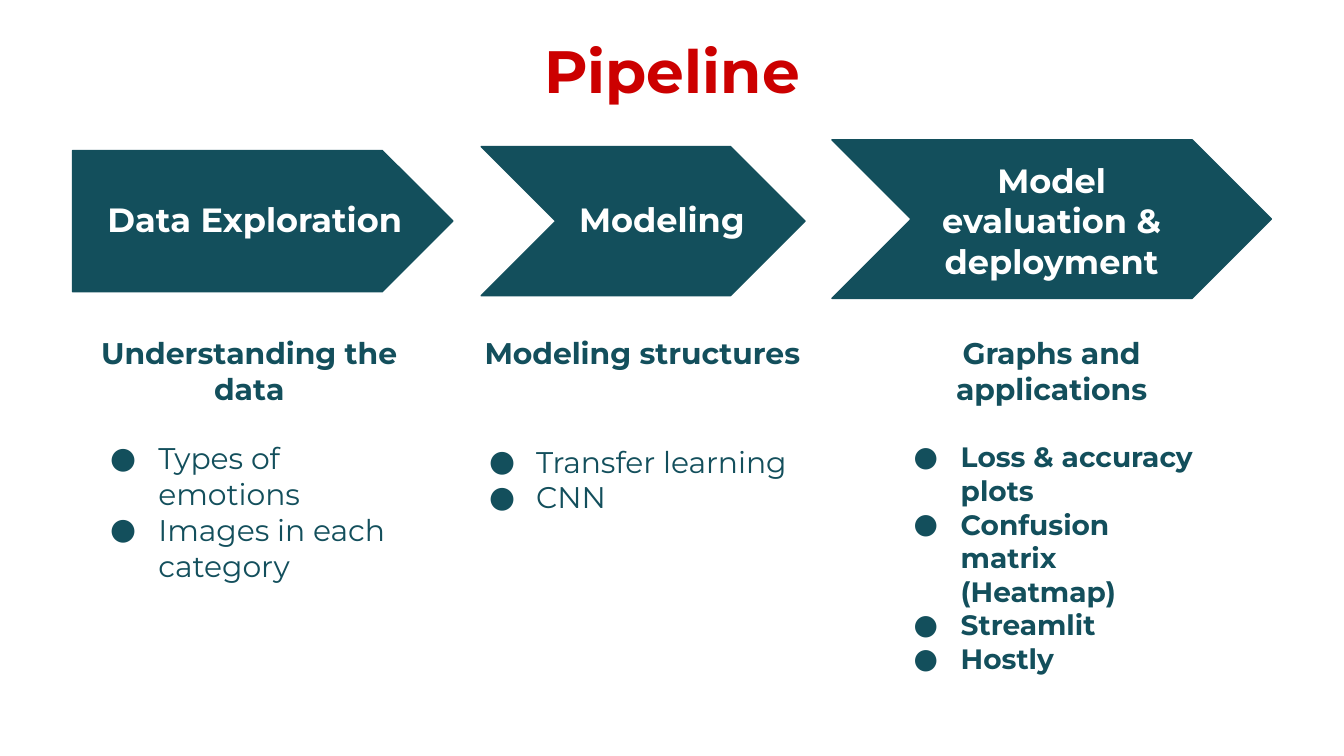
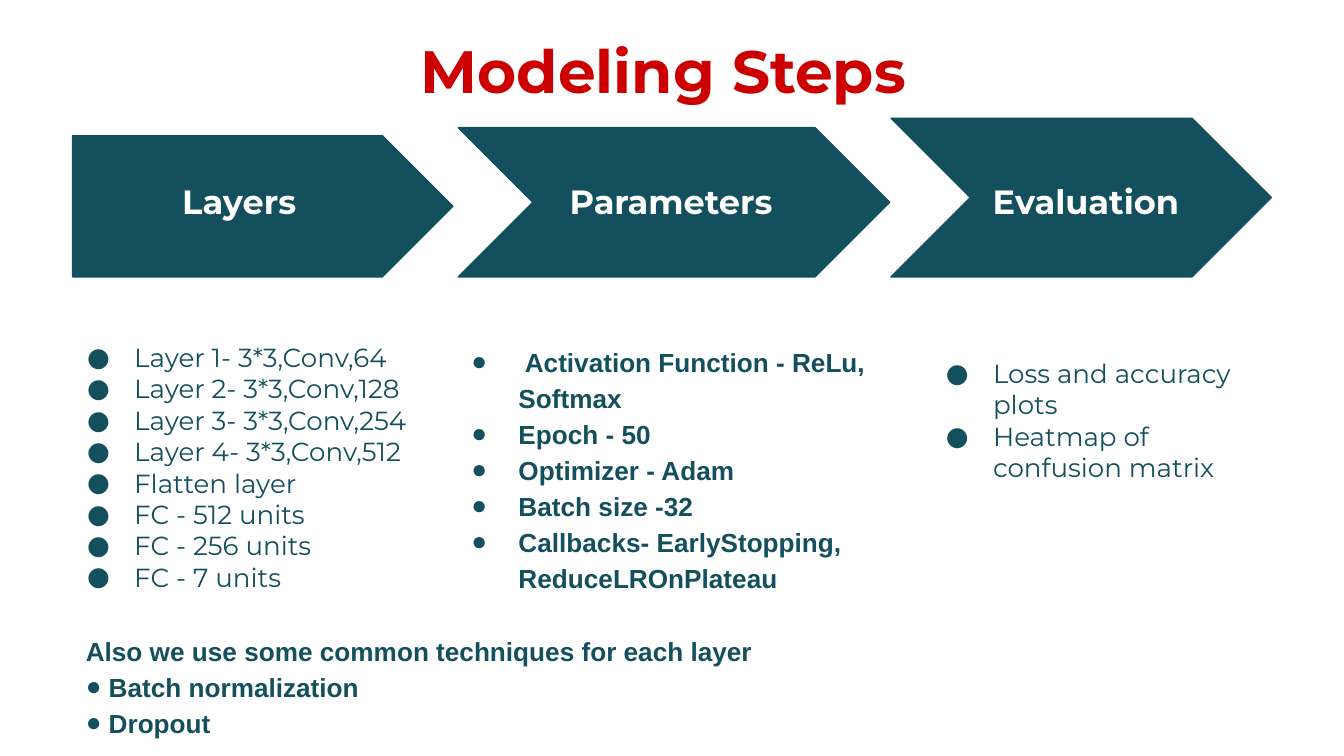
from lxml import etree
from pptx import Presentation
from pptx.dml.color import RGBColor
from pptx.enum.shapes import MSO_SHAPE
from pptx.enum.text import PP_ALIGN
from pptx.oxml.ns import qn
from pptx.util import Inches, Pt

LEFT, CENTER = PP_ALIGN.LEFT, PP_ALIGN.CENTER
PENTAGON, CHEVRON = MSO_SHAPE.PENTAGON, MSO_SHAPE.CHEVRON
TEAL, RED, WHITE = "134F5C", "CC0000", "FFFFFF"
HEAD_FONT, PLAIN_FONT = "Montserrat", "Arial"
color = RGBColor.from_string

prs = Presentation()
prs.slide_width = Inches(10)
prs.slide_height = prs.slide_width * 9 // 16
UNIT = prs.slide_width / 100  # square grid, 100 columns across the slide
TITLE_BOX = (3.4, 1.5, 93.2, 6.3)
ARROW_ROWS = (10.5, 11.1, 11.8)  # the arrows grow from left to right


def add_box(slide, place):
    """Add a wrapping text box at (column, row, columns, rows)."""
    frame = slide.shapes.add_textbox(*(round(n * UNIT) for n in place)).text_frame
    frame.word_wrap = True
    frame.margin_left = frame.margin_right = round(UNIT)
    frame.margin_top = frame.margin_bottom = round(UNIT)
    return frame


def write(frame, lines, size, bold=True, ink=TEAL, font=HEAD_FONT, align=LEFT,
          bullet=None, before=0, spacing=1.0):
    """Append lines; bullet is (text indent, hang) in grid columns."""
    for i, line in enumerate(lines):
        first = not frame.paragraphs[0].runs
        para = frame.paragraphs[0] if first else frame.add_paragraph()
        if bullet:
            props = para._p.get_or_add_pPr()
            props.set("marL", str(round(bullet[0] * UNIT)))
            props.set("indent", str(round(-bullet[1] * UNIT)))
            tint = etree.SubElement(props, qn("a:buClr"))
            etree.SubElement(tint, qn("a:srgbClr"), val=ink)
            etree.SubElement(props, qn("a:buFont"), typeface=font)
            etree.SubElement(props, qn("a:buChar"), char="●")
        para.alignment = align
        para.line_spacing = spacing
        if i == 0 and before:
            para.space_before = Pt(before)
        run = para.add_run()
        run.text = line
        run.font.size, run.font.bold, run.font.name = Pt(size), bold, font
        run.font.color.rgb = color(ink)


# Title and arrows: (column, row, columns), label, label box, label alignment
slides = []
for title, steps in (
    ("Pipeline", (
        ((5.4, 11.2, 28.3), "Data Exploration", (7, 13.8, 24.1, 5), LEFT),
        ((35.8, 10.9, 24.1), "Modeling", (42.1, 13.8, 15.2, 5), LEFT),
        ((61.9, 10.4, 32.7), "Model evaluation & deployment",
         (67.1, 10.9, 22.3, 11.1), CENTER))),
    ("Modeling Steps ", (
        ((5.4, 10.1, 28.3), "Layers", (7.1, 12.5, 21.4, 5), CENTER),
        ((34.1, 9.5, 32.1), "Parameters", (41.4, 12.5, 17.5, 5), LEFT),
        ((66.3, 8.8, 28.3), "Evaluation", (70.1, 12.5, 21.4, 5), CENTER))),
):
    slide = prs.slides.add_slide(prs.slide_layouts[6])
    slides.append(slide)
    write(add_box(slide, TITLE_BOX), [title], 32, ink=RED, align=CENTER)
    outlines = (PENTAGON, CHEVRON, CHEVRON)
    for outline, rows, (place, label, label_box, align) in zip(outlines, ARROW_ROWS, steps):
        arrow = slide.shapes.add_shape(outline, *(round(n * UNIT) for n in (*place, rows)))
        arrow.shadow.inherit = False
        arrow.fill.solid()
        arrow.fill.fore_color.rgb = color(TEAL)
        arrow.line.color.rgb = color(TEAL)
        arrow.line.width = Pt(0.75)
        write(add_box(slide, label_box), [label], 18, ink=WHITE, align=align)

pipeline, modeling = slides

# Pipeline: a heading and a list under each arrow
for place, heading, items, size, bold, hang, gap in (
    ((5.8, 23.9, 25.5, 20.7), "Understanding the data",
     ("Types of emotions", "Images in each category"), 16, False, 3.6, 18),
    ((33.9, 23.9, 27.8, 15.5), "Modeling structures",
     ("Transfer learning", "CNN"), 16, False, 3.5, 39),
    ((65.5, 23.9, 25.5, 27.6), "Graphs and applications",
     ("Loss & accuracy plots", "Confusion matrix (Heatmap)", "Streamlit", "Hostly"),
     15, True, 3.5, 18),
):
    column = add_box(pipeline, place)
    write(column, [heading], 16, align=CENTER)
    write(column, items, size, bold, bullet=(5, hang), before=gap)

# Modeling steps: a list under each arrow
for place, items, bold, font, spacing in (
    ((4, 24.4, 31.2, 20.9),
     ("Layer 1- 3*3,Conv,64", "Layer 2- 3*3,Conv,128", "Layer 3- 3*3,Conv,254",
      "Layer 4- 3*3,Conv,512", "Flatten layer", "FC - 512 units",
      "FC - 256 units", "FC - 7 units"), False, HEAD_FONT, 1.0),
    ((32.6, 24.4, 33.6, 23.3),
     (" Activation Function - ReLu, Softmax", "Epoch - 50", "Optimizer - Adam",
      "Batch size -32", "Callbacks- EarlyStopping, ReduceLROnPlateau"),
     True, PLAIN_FONT, 1.15),
    ((67.9, 25.6, 25.9, 11.4),
     ("Loss and accuracy plots", "Heatmap of confusion matrix"), False, HEAD_FONT, 1.0),
):
    write(add_box(modeling, place), items, 14, bold, font=font,
          bullet=(5, 3.5), spacing=spacing)

# Techniques shared by all layers
techniques = add_box(modeling, (5.4, 45.9, 91.9, 9.8))
write(techniques, ["Also we use some common techniques for each layer"], 14,
      font=PLAIN_FONT, spacing=1.15)
write(techniques, ["Batch normalization", "Dropout"], 14, font=PLAIN_FONT,
      bullet=(1.7, 1.7), spacing=1.15)

prs.save("out.pptx")
